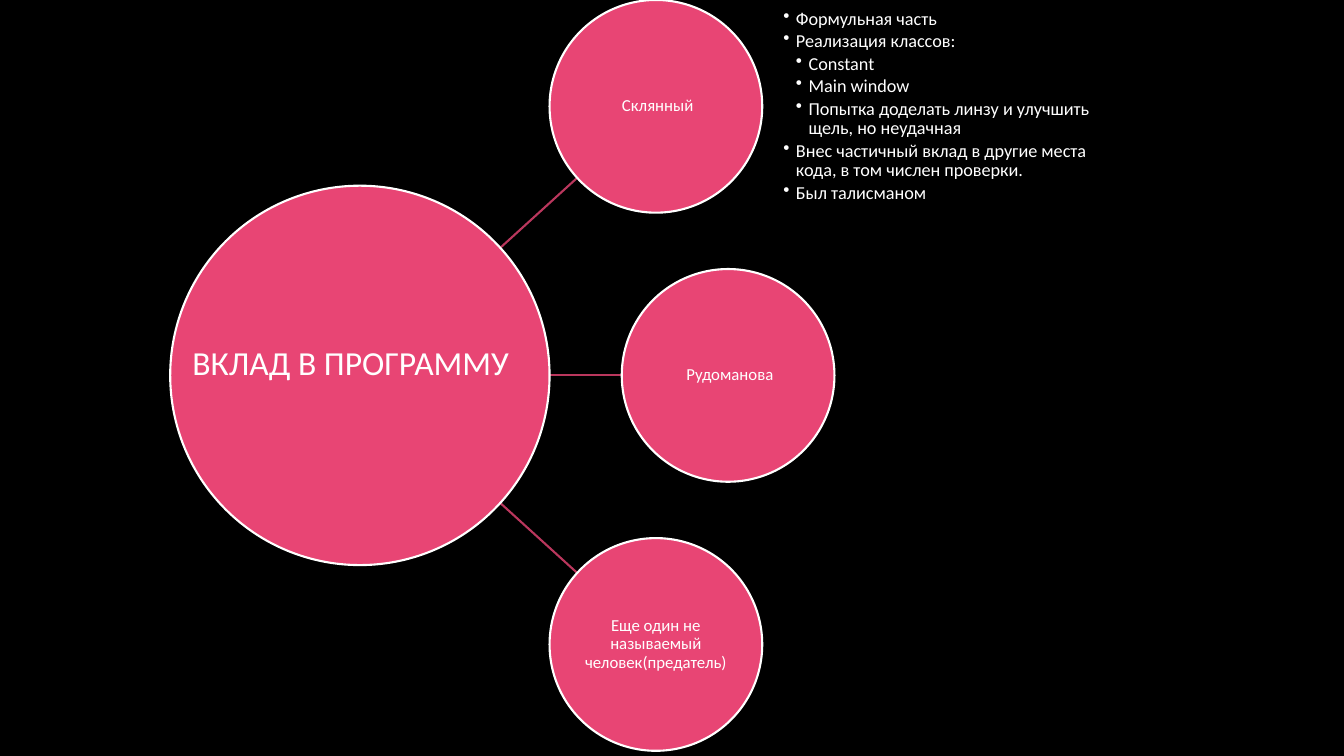
import math
from dataclasses import dataclass

from lxml import etree
from pptx import Presentation
from pptx import util as u
from pptx.dml.color import RGBColor
from pptx.enum import shapes, text
from pptx.oxml import ns


@dataclass(frozen=True)
class Theme:
    font: str = "Calibri"
    back: RGBColor = RGBColor(0x00, 0x00, 0x00)
    ink: RGBColor = RGBColor(0xFF, 0xFF, 0xFF)
    disc: RGBColor = RGBColor(0xE8, 0x45, 0x74)
    spoke: RGBColor = RGBColor(0xBA, 0x37, 0x5D)
    line_width: float = 1.5
    title_size: int = 24
    name_size: int = 12
    bullet_size: int = 13


class Painter:
    def __init__(self, page, theme):
        self.page = page
        self.theme = theme
        page.background.fill.solid()
        page.background.fill.fore_color.rgb = theme.back

    def style(self, para, size, after=0, align=text.PP_ALIGN.LEFT):
        para.font.name = self.theme.font
        para.font.size = u.Pt(size)
        para.font.color.rgb = self.theme.ink
        para.alignment = align
        para.line_spacing = 0.9
        para.space_before = u.Pt(0)
        para.space_after = u.Pt(after)

    def frame(self, shape, inset):
        frame = shape.text_frame
        frame.word_wrap = True
        frame.auto_size = text.MSO_AUTO_SIZE.NONE
        frame.vertical_anchor = text.MSO_ANCHOR.MIDDLE
        frame.margin_left = frame.margin_right = u.Cm(inset)
        frame.margin_top = frame.margin_bottom = u.Cm(inset)
        return frame

    def spoke(self, start, end):
        line = self.page.shapes.add_connector(
            shapes.MSO_CONNECTOR.STRAIGHT, *(u.Cm(v) for v in (*start, *end)))
        line.line.color.rgb = self.theme.spoke
        line.line.width = u.Pt(self.theme.line_width)
        etree.SubElement(line.element.spPr, ns.qn("a:effectLst"))

    def disc(self, centre, radius, label=""):
        x, y = centre
        disc = self.page.shapes.add_shape(
            shapes.MSO_SHAPE.OVAL, u.Cm(x - radius), u.Cm(y - radius),
            u.Cm(2 * radius), u.Cm(2 * radius))
        disc.shadow.inherit = False
        disc.fill.solid()
        disc.fill.fore_color.rgb = self.theme.disc
        disc.line.color.rgb = self.theme.ink
        disc.line.width = u.Pt(self.theme.line_width)
        if label:
            para = self.frame(disc, 0.03).paragraphs[0]
            para.text = label
            self.style(para, self.theme.name_size, 4, text.PP_ALIGN.CENTER)

    def bullets(self, left, top, width, height, items):
        box = self.page.shapes.add_textbox(*(u.Cm(v) for v in (left, top, width, height)))
        frame = self.frame(box, 0)
        for index, (level, wording) in enumerate(items):
            para = frame.add_paragraph() if index else frame.paragraphs[0]
            para.text = wording
            para.level = level
            self.style(para, self.theme.bullet_size, 2)
            step = u.Cm(0.32)
            props = para._p.get_or_add_pPr()
            props.set("marL", str(step * level))
            props.set("indent", str(-step))
            etree.SubElement(props, ns.qn("a:buChar")).set("char", "•")
            props.append(props.find(ns.qn("a:defRPr")))

    def title(self, left, top, width, height, wording):
        title = self.page.shapes.title
        title.left, title.top = u.Cm(left), u.Cm(top)
        title.width, title.height = u.Cm(width), u.Cm(height)
        frame = self.frame(title, 0.25)
        frame.text = wording
        self.style(frame.paragraphs[0], self.theme.title_size)
        self.page.shapes.element.append(title.element)


HUB, HUB_RADIUS = (9.07, 9.46), 4.78
NODE_RADIUS, NODE_STEP = 2.68, 6.78
SPOKE_START = 12.4
PEOPLE = [
    (16.53, -1, " Склянный"),
    (18.35, 0, " Рудоманова"),
    (16.53, 1, "Еще один не называемый человек(предатель)"),
]
TASKS = [
    (1, "Формульная часть"),
    (1, "Реализация классов:"),
    (2, "Сonstant"),
    (2, "Main window"),
    (2, "Попытка доделать линзу и улучшить щель, но неудачная"),
    (1, "Внес частичный вклад в другие места кода, в том числен проверки."),
    (1, "Был талисманом"),
]


def main():
    deck = Presentation()
    deck.slide_width, deck.slide_height = u.Cm(33.87), u.Cm(19.05)
    page = deck.slides.add_slide(deck.slide_layouts[5])
    painter = Painter(page, Theme())

    nodes = [((x, HUB[1] + row * NODE_STEP), name) for x, row, name in PEOPLE]
    for (x, y), _ in nodes:
        run, rise = x - HUB[0], y - HUB[1]
        start = (SPOKE_START, HUB[1] + rise * (SPOKE_START - HUB[0]) / run)
        reach = NODE_RADIUS / math.hypot(run, rise)
        painter.spoke(start, (x - run * reach, y - rise * reach))
    painter.disc(HUB, HUB_RADIUS)
    for centre, name in nodes:
        painter.disc(centre, NODE_RADIUS, name)
    painter.bullets(19.74, 0, 8.03, 5.36, TASKS)
    painter.title(4.6, 7.49, 12.17, 3.4, "ВКЛАД В ПРОГРАММУ")
    deck.save("out.pptx")


if __name__ == "__main__":
    main()
